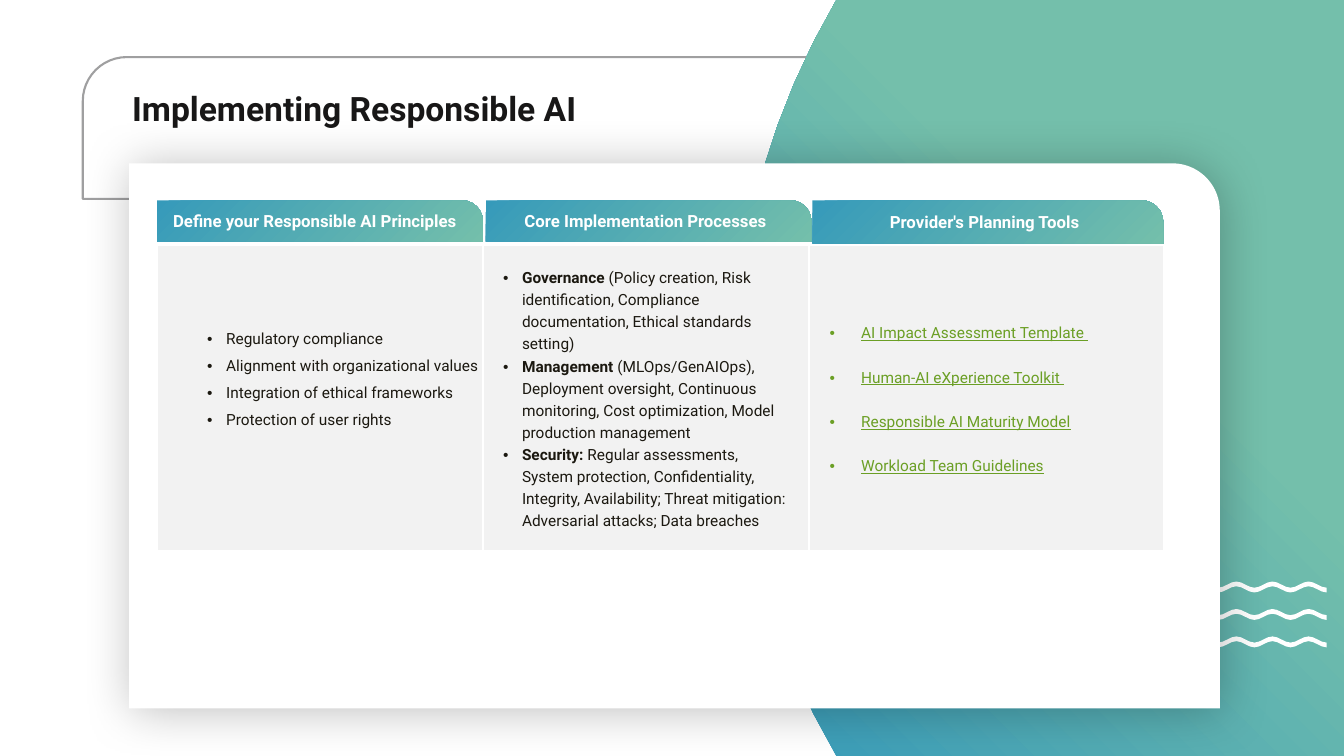
from math import cos, pi, sqrt

from lxml.etree import SubElement as Sub
from pptx import Presentation
from pptx.dml.color import RGBColor
from pptx.enum.shapes import MSO_SHAPE as Kind
from pptx.enum.text import MSO_ANCHOR as Anchor, PP_ALIGN as Align
from pptx.oxml import parse_xml
from pptx.oxml.ns import nsdecls, qn
from pptx.util import Pt

FONT = "Roboto"
DARK, WHITE, GREEN, BLUE = "1B1810", "FFFFFF", "74BFAB", "369ABA"
LINK = "6B9F25"

HEADS = [
    ("Define your Responsible AI Principles ", 20, 232.6, 29.5),
    ("Core Implementation Processes", 254.7, 232.6, 29.5),
    ("Provider's Planning Tools", 488, 250.6, 31),
]
AIMS = [
    "Regulatory compliance",
    "Alignment with organizational values",
    "Integration of ethical frameworks",
    "Protection of user rights",
]
STEPS = [
    ("Governance", " (Policy creation, Risk identification, Compliance documentation, Ethical standards setting)"),
    ("Management", " (MLOps/GenAIOps), Deployment oversight, Continuous monitoring, Cost optimization, Model production management"),
    ("Security:", " Regular assessments, System protection, Confidentiality, Integrity, Availability; Threat mitigation: Adversarial attacks; Data breaches"),
]
TOOLS = [
    "AI Impact Assessment Template ",
    "Human-AI eXperience Toolkit ",
    "Responsible AI Maturity Model",
    "Workload Team Guidelines",
]


def tint(code):
    return RGBColor.from_string(code)


def write(para, text, size=11, color=DARK, bold=False, under=False):
    run = para.add_run()
    run.text = text
    font = run.font
    font.name, font.size, font.bold = FONT, Pt(size), bold
    font.color.rgb = tint(color)
    if under:
        font.underline = True


def inset(frame, left, top, right, bottom):
    frame.margin_left, frame.margin_top = Pt(left), Pt(top)
    frame.margin_right, frame.margin_bottom = Pt(right), Pt(bottom)


def plain(shape, fill=None):
    shape.shadow.inherit = False
    shape.line.fill.background()
    if fill:
        shape.fill.solid()
        shape.fill.fore_color.rgb = tint(fill)
    else:
        shape.fill.background()
    return shape


def blend(shape, stops, shade):
    marks = "".join(
        f'<a:gs pos="{at * 1000}"><a:srgbClr val="{code}"/></a:gs>' for at, code in stops
    )
    props = shape.element.spPr
    props.replace(
        props.find(qn("a:noFill")),
        parse_xml(f'<a:gradFill {nsdecls("a")} rotWithShape="1"><a:gsLst>{marks}</a:gsLst>{shade}</a:gradFill>'),
    )


def shade(shape, color, alpha, blur, dist, angle):
    cast = Sub(
        shape.element.spPr.find(qn("a:effectLst")), qn("a:outerShdw"),
        blurRad=str(Pt(blur)), dist=str(Pt(dist)), dir=str(angle * 60000),
        algn="ctr", rotWithShape="0",
    )
    hue = Sub(cast, qn("a:srgbClr"), val=color)
    Sub(hue, qn("a:alpha"), val=str(alpha * 1000))


def panel(shapes, x, y, wide, high, bend):
    shape = shapes.add_shape(Kind.ROUND_1_RECTANGLE, Pt(x), Pt(y), Pt(wide), Pt(high))
    shape.adjustments[0] = bend
    return plain(shape)


def trace(shapes, dots):
    dots = [(Pt(x), Pt(y)) for x, y in dots]
    pen = shapes.build_freeform(*dots[0])
    pen.add_line_segments(dots[1:], close=True)
    return plain(pen.convert_to_shape(), WHITE)


def draw_arc(shapes, x, y, wide, high):
    half, count, bow = high / 2, 18, 533
    drops = [step * high / count for step in range(count + 1)]
    edge = [(x + bow - sqrt(bow ** 2 - (drop - half) ** 2), y + drop) for drop in drops]
    arc = trace(shapes, [(x + wide, y), *edge, (x + wide, y + high)])
    arc.fill.background()
    blend(arc, [(38, GREEN), (100, BLUE)],
          '<a:path path="circle"><a:fillToRect l="100000" b="100000"/></a:path>')


def draw_waves(shapes, x, y, wide, gap):
    group = shapes.add_group_shape()
    count = 36
    for row in range(3):
        top = [
            (x + step * wide / count, y + row * gap + 2.2 * (1 - cos(9 * pi * step / count)))
            for step in range(count + 1)
        ]
        base = [(across, down + 3.4) for across, down in reversed(top)]
        trace(group.shapes, top + base)


def draw_title(slide, x, y, wide, high):
    frame = panel(slide.shapes, x, y, wide, high, 0.31)
    frame.element.spPr.xfrm.set("flipH", "1")
    frame.line.color.rgb = tint("9F9FA0")
    frame.line.width = Pt(1.5)
    title = slide.shapes.title
    title.left, title.top = Pt(x + 33), Pt(y + 19.5)
    title.width, title.height = Pt(397), Pt(33)
    text = title.text_frame
    text.word_wrap = True
    text.vertical_anchor = Anchor.TOP
    inset(text, 2.2, 2.2, 2.2, 2.2)
    para = text.paragraphs[0]
    para.alignment = Align.LEFT
    write(para, "Implementing Responsible AI", size=24, color="181717", bold=True)


def draw_tab(shapes, x, y, wide, high, text):
    tab = panel(shapes, x, y, wide, high, 0.5)
    blend(tab, [(0, BLUE), (100, GREEN)], '<a:lin ang="2700000" scaled="0"/>')
    frame = tab.text_frame
    frame.word_wrap = True
    frame.vertical_anchor = Anchor.MIDDLE
    para = frame.paragraphs[0]
    para.alignment = Align.CENTER
    write(para, text, size=12, color=WHITE, bold=True)


def fill_cell(cell, items, pad, left, hang, pitch, gap=0, **style):
    props = cell._tc.get_or_add_tcPr()
    for side in "LRTB":
        line = Sub(props, qn(f"a:ln{side}"), w=str(Pt(1.5)))
        Sub(Sub(line, qn("a:solidFill")), qn("a:srgbClr"), val=WHITE)
    cell.fill.solid()
    cell.fill.fore_color.rgb = tint("F2F2F2")
    cell.vertical_anchor = Anchor.MIDDLE
    inset(cell, *pad)
    frame = cell.text_frame
    for rank, (lead, rest) in enumerate(items):
        para = frame.add_paragraph() if rank else frame.paragraphs[0]
        props = para._p.get_or_add_pPr()
        props.set("marL", str(Pt(left)))
        props.set("indent", str(Pt(-hang)))
        Sub(props, qn("a:buFont"), typeface="Arial")
        Sub(props, qn("a:buChar"), char="•")
        para.line_spacing = pitch
        if rank and gap:
            para.space_before = Pt(gap)
        if lead:
            write(para, lead, bold=True)
        write(para, rest, **style)


def draw_table(shapes, x, y, wides, high):
    table = shapes.add_table(1, len(wides), Pt(x), Pt(y), Pt(sum(wides)), Pt(high)).table
    table.first_row = table.horz_banding = False
    table.rows[0].height = Pt(high)
    for col, wide in zip(table.columns, wides):
        col.width = Pt(wide)
    aims, steps, tools = table.rows[0].cells
    fill_cell(aims, [("", text) for text in AIMS], (0, 0, 0, 32.5), 49.5, 13.5, 1.5)
    fill_cell(steps, STEPS, (14.4,) * 4, 13.5, 13.5, Pt(15.8))
    fill_cell(tools, [("", text) for text in TOOLS], (14.4, 0, 14.4, 0), 22.5, 22.5,
              Pt(15.8), gap=15.8, color=LINK, under=True)


def draw_card(shapes, x, y, wide, high):
    card = plain(panel(shapes, x, y, wide, high, 0.087), WHITE)
    shade(card, "000000", 25, 35, 3, 45)
    draw_table(shapes, x + 19.7, y + 58.3, [233, 233.2, 253], 216.4)
    for text, left, span, tall in HEADS:
        draw_tab(shapes, x + left, y + 26.4, span, tall, text)


def main():
    deck = Presentation()
    deck.slide_width, deck.slide_height = Pt(960), Pt(540)
    slide = deck.slides.add_slide(deck.slide_layouts[5])
    draw_title(slide, 59.2, 40.8, 812, 101.3)
    draw_arc(slide.shapes, 524, 0, 436, 540)
    draw_waves(slide.shapes, 831.6, 415.4, 116, 19.6)
    draw_card(slide.shapes, 92.3, 116.7, 779, 389.3)
    deck.save("out.pptx")


if __name__ == "__main__":
    main()
